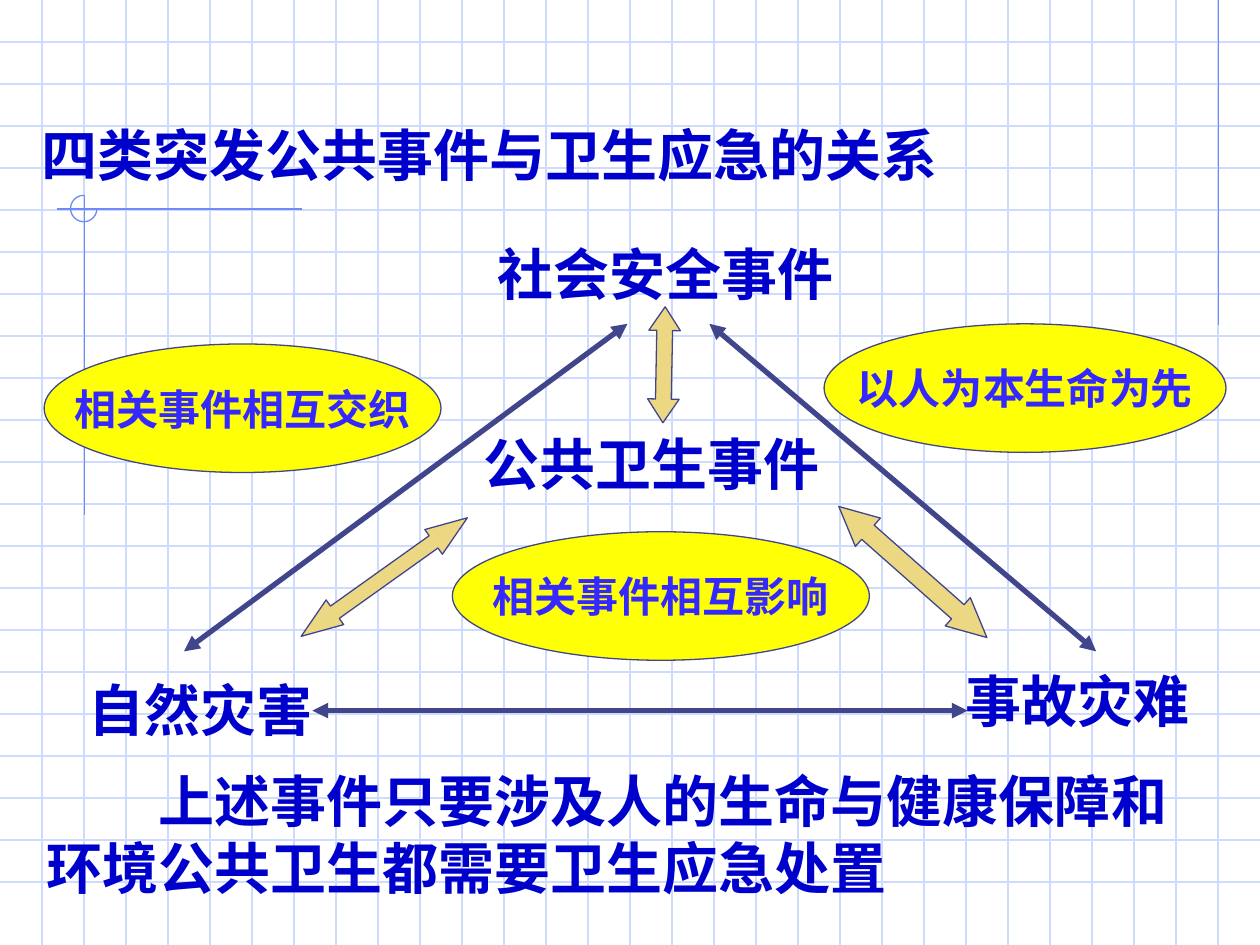
from dataclasses import dataclass
from typing import NamedTuple

from lxml.etree import SubElement
from pptx import Presentation
from pptx.dml.color import RGBColor as RGB
from pptx.enum.shapes import MSO_CONNECTOR as CONN, MSO_SHAPE as SHAPE
from pptx.enum.text import MSO_ANCHOR as ANCHOR, MSO_AUTO_SIZE as AUTOSIZE, PP_ALIGN as ALIGN
from pptx.oxml.ns import qn
from pptx.util import Inches, Pt


@dataclass(frozen=True)
class Theme:
    grid: RGB = RGB(0xCF, 0xDB, 0xFD)
    accent: RGB = RGB(0x6F, 0x89, 0xF7)
    outline: RGB = RGB(0x40, 0x45, 0x8C)
    arrow: RGB = RGB(0xEC, 0xD8, 0x82)
    bubble: RGB = RGB(0xFF, 0xFF, 0x05)
    heading: RGB = RGB(0x00, 0x00, 0xCC)
    bubble_text: RGB = RGB(0x34, 0x28, 0xFF)
    cjk: str = "Noto Sans CJK SC"
    latin: str = "Arial"
    large: int = 32
    small: int = 24
    thin: float = 0.75
    thick: float = 3


class Box(NamedTuple):
    x: float
    y: float
    w: float
    h: float


class Label(NamedTuple):
    text: str
    box: Box
    wrap: bool = True


class BlockArrow(NamedTuple):
    box: Box
    rotation: float
    head: float


class Line(NamedTuple):
    x1: float
    y1: float
    x2: float
    y2: float


T = Theme()
WIDTH, HEIGHT, CELL = 10, 7.5, 1 / 3

TITLE = Label("四类突发公共事件与卫生应急的关系", Box(0.02, 0.9, 7.74, 0.64))
SUMMARY = Label("上述事件只要涉及人的生命与健康保障和环境公共卫生都需要卫生应急处置",
                Box(0.27, 6.03, 9.45, 1.17))
EVENTS = [
    Label("社会安全事件", Box(3.78, 1.85, 3, 0.64)),
    Label("事故灾难", Box(7.54, 5.24, 2.02, 0.64)),
    Label("自然灾害", Box(0.28, 5.31, 2.63, 0.64)),
    Label("公共卫生事件", Box(3.74, 3.36, 2.87, 0.63), wrap=False),
]
BUBBLES = [
    Label("相关事件相互影响", Box(3.59, 4.22, 3.31, 1.02), wrap=False),
    Label("相关事件相互交织", Box(0.35, 2.73, 3.15, 1.02), wrap=False),
    Label("以人为本生命为先", Box(6.54, 2.57, 3.19, 1.02), wrap=False),
]
BLOCK_ARROWS = [
    BlockArrow(Box(2.24, 4.46, 1.62, 0.24), 324.5, 1.37),
    BlockArrow(Box(4.81, 2.77, 0.92, 0.25), 91.1, 0.75),
    BlockArrow(Box(6.46, 4.39, 1.57, 0.3), 41.5, 1.03),
]
TRIANGLE = [
    Line(1.46, 5.17, 4.98, 2.57),
    Line(8.7, 5.17, 5.63, 2.57),
    Line(2.48, 5.64, 7.68, 5.64),
]
ACCENTS = [
    Line(9.67, 0, 9.67, 2.58),
    Line(2.4, 1.66, 0.45, 1.66),
    Line(0.67, 1.55, 0.67, 4.09),
]


def inches(values: tuple) -> list:
    return [Inches(v) for v in values]


def write(sp, label: Label, size: int, color: RGB, latin: str = T.cjk,
          align: ALIGN = ALIGN.CENTER, anchor: ANCHOR = ANCHOR.MIDDLE):
    """Put one bold paragraph into a shape and return the paragraph."""
    tf = sp.text_frame
    tf.text = label.text
    tf.word_wrap = label.wrap
    tf.auto_size = AUTOSIZE.NONE
    tf.vertical_anchor = anchor
    p = tf.paragraphs[0]
    p.alignment = align
    p.line_spacing = 1.0
    p.space_before = Pt(0)
    SubElement(p._p.get_or_add_pPr(), qn("a:buNone"))
    font = p.font
    font.name, font.size, font.bold = latin, Pt(size), True
    font.color.rgb = color
    SubElement(font._element, qn("a:ea"), typeface=T.cjk)
    return p


def draw_line(slide, line: Line, color: RGB, width: float = T.thin, arrows: bool = False) -> None:
    c = slide.shapes.add_connector(CONN.STRAIGHT, *inches(line))
    c.line.color.rgb = color
    c.line.width = Pt(width)
    if arrows:
        for end in ("a:headEnd", "a:tailEnd"):
            SubElement(c.line._get_or_add_ln(), qn(end), type="triangle")
    SubElement(c._element.spPr, qn("a:effectLst"))


def draw_shape(slide, kind: SHAPE, box: Box, fill: RGB | None, outline: RGB):
    sp = slide.shapes.add_shape(kind, *inches(box))
    sp.shadow.inherit = False
    if fill is None:
        sp.fill.background()
    else:
        sp.fill.solid()
        sp.fill.fore_color.rgb = fill
    sp.line.color.rgb = outline
    sp.line.width = Pt(T.thin)
    return sp


def place(slide, sp, box: Box) -> None:
    """Position a placeholder and bring it to the front."""
    sp.left, sp.top, sp.width, sp.height = inches(box)
    slide.shapes._spTree.append(sp._element)


def draw_background(slide) -> None:
    for i in range(1, round(HEIGHT / CELL)):
        draw_line(slide, Line(0, i * CELL, WIDTH, i * CELL), T.grid)
    for i in range(1, round(WIDTH / CELL)):
        draw_line(slide, Line(i * CELL, 0, i * CELL, HEIGHT), T.grid)
    for line in ACCENTS:
        draw_line(slide, line, T.accent)
    # Three-quarter ring, open at the upper right
    ring = draw_shape(slide, SHAPE.ARC, Box(0.56, 1.55, 0.21, 0.21), None, T.accent)
    ring.adjustments[0], ring.adjustments[1] = 0, 162


def draw_diagram(slide) -> None:
    for event in EVENTS:
        sp = slide.shapes.add_textbox(*inches(event.box))
        write(sp, event, T.large, T.heading)
    for arrow in BLOCK_ARROWS:
        sp = draw_shape(slide, SHAPE.LEFT_RIGHT_ARROW, arrow.box, T.arrow, T.outline)
        sp.adjustments[0], sp.adjustments[1] = 0.5, arrow.head
        sp.rotation = arrow.rotation
    for bubble in BUBBLES:
        sp = draw_shape(slide, SHAPE.OVAL, bubble.box, T.bubble, T.outline)
        write(sp, bubble, T.small, T.bubble_text, T.latin)
    for line in TRIANGLE:
        draw_line(slide, line, T.outline, T.thick, arrows=True)


def main() -> None:
    prs = Presentation()
    prs.slide_width, prs.slide_height = Inches(WIDTH), Inches(HEIGHT)
    slide = prs.slides.add_slide(prs.slide_layouts[1])
    title, body = slide.placeholders

    draw_background(slide)
    draw_diagram(slide)

    # Title and closing statement
    place(slide, title, TITLE.box)
    write(title, TITLE, T.large, T.heading)
    place(slide, body, SUMMARY.box)
    p = write(body, SUMMARY, T.large, T.heading, align=ALIGN.LEFT, anchor=ANCHOR.TOP)
    # First line is indented by two characters
    p._p.pPr.set("marL", "0")
    p._p.pPr.set("indent", str(Pt(2 * T.large)))

    prs.save("out.pptx")


if __name__ == "__main__":
    main()
